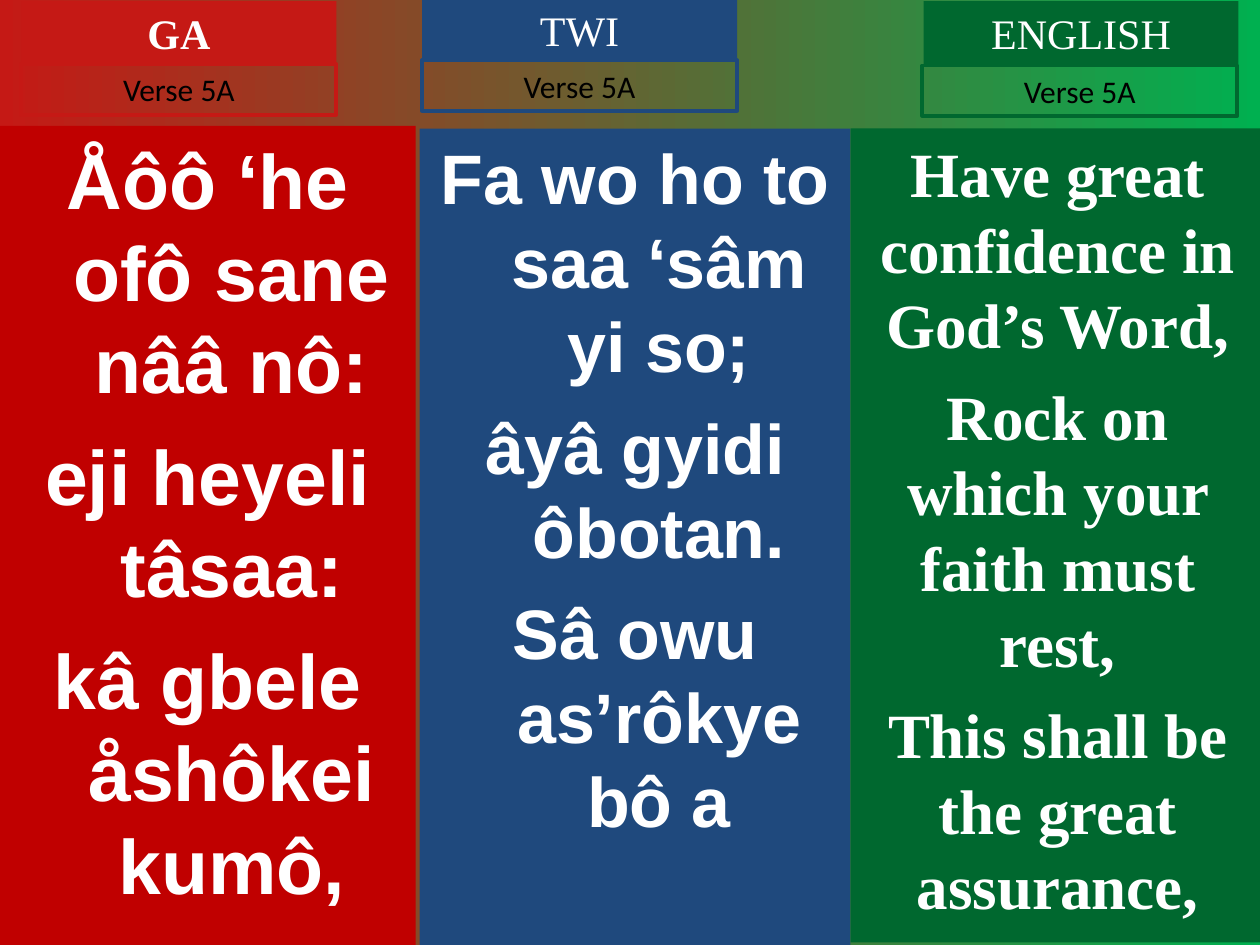
from pptx import Presentation
from pptx.dml.color import RGBColor
from pptx.enum.shapes import MSO_SHAPE
from pptx.enum.text import MSO_ANCHOR, PP_ALIGN
from pptx.util import Pt

RECT = MSO_SHAPE.RECTANGLE
TOP = MSO_ANCHOR.TOP
CENTER = PP_ALIGN.CENTER

PX = 9144  # EMU per px, 100 px to the inch
HANG = 38

SCARLET = RGBColor(0xC5, 0x19, 0x15)
RED = RGBColor(0xC0, 0x00, 0x00)
BLUE = RGBColor(0x1F, 0x49, 0x7D)
GREEN = RGBColor(0x00, 0x68, 0x2F)
LIGHT_GREEN = RGBColor(0x00, 0xB0, 0x50)
WHITE = RGBColor(0xFF, 0xFF, 0xFF)
BLACK = RGBColor(0x00, 0x00, 0x00)

# language, bold, heading colour, heading left/top, verse label left/top
HEADINGS = [
    ("GA", True, SCARLET, (17, 1), (17, 51)),
    ("TWI", False, BLUE, (335, -1), (335, 48)),
    ("ENGLISH", False, GREEN, (733, 1), (732, 52)),
]

# box, colour, font, size, space before, hanging indent, lines
VERSES = [
    ((0, 100, 330, 650), RED, "Arial", 44, 11, HANG,
     ["Åôô ‘he ofô sane nââ nô:", "eji heyeli tâsaa:",
      "kâ gbele åshôkei kumô,"]),
    ((333, 102, 342, 648), BLUE, "Arial", 40, 10, HANG,
     ["Fa wo ho to saa ‘sâm yi so;", "âyâ gyidi ôbotan.",
      "Sâ owu as’rôkye bô a"]),
    ((675, 102, 329, 646), GREEN, "Times New Roman", 36, 9, 0,
     ["Have great confidence in God’s Word,",
      "Rock on which your faith must rest,",
      "This shall be the great assurance,"]),
]


def add_box(s, box, fill=None, line=None):
    sp = s.shapes.add_shape(RECT, *(v * PX for v in box))
    sp.shadow.inherit = False
    if fill is None:
        sp.fill.background()
    else:
        sp.fill.solid()
        sp.fill.fore_color.rgb = fill
    if line is None:
        sp.line.fill.background()
    else:
        sp.line.color.rgb = line
        sp.line.width = Pt(2.25)
    tf = sp.text_frame
    tf.word_wrap = True
    tf.vertical_anchor = TOP
    return tf


def write(p, text, font, size, color, bold=False):
    p.text = text
    p.alignment = CENTER
    p.font.name = font
    p.font.size = Pt(size)
    p.font.bold = bold
    p.font.color.rgb = color


def add_heading(s, language, bold, color, heading_at, label_at):
    tf = add_box(s, (*heading_at, 250, 50), fill=color)
    write(tf.paragraphs[0], language, "Times New Roman", 24, WHITE, bold)
    tf = add_box(s, (*label_at, 250, 40), line=color)
    write(tf.paragraphs[0], "Verse 5A", "Calibri", 18, BLACK)


def add_verse(s, box, color, font, size, gap, hang, lines):
    tf = add_box(s, box, fill=color)
    for i, line in enumerate(lines):
        p = tf.add_paragraph() if i else tf.paragraphs[0]
        if hang:
            pPr = p._p.get_or_add_pPr()
            pPr.set("marL", str(hang * PX))
            pPr.set("indent", str(-hang * PX))
        if i:
            p.space_before = Pt(gap)
        write(p, line, font, size, WHITE, True)


def set_background(s):
    fill = s.background.fill
    fill.gradient()
    fill.gradient_angle = 0
    for stop, color in zip(fill.gradient_stops, (SCARLET, LIGHT_GREEN)):
        stop.color.rgb = color


def main():
    prs = Presentation()
    prs.slide_width, prs.slide_height = 1000 * PX, 750 * PX
    s = prs.slides.add_slide(prs.slide_layouts[6])
    set_background(s)
    for verse in VERSES:
        add_verse(s, *verse)
    for heading in HEADINGS:
        add_heading(s, *heading)
    prs.save("out.pptx")


if __name__ == "__main__":
    main()
